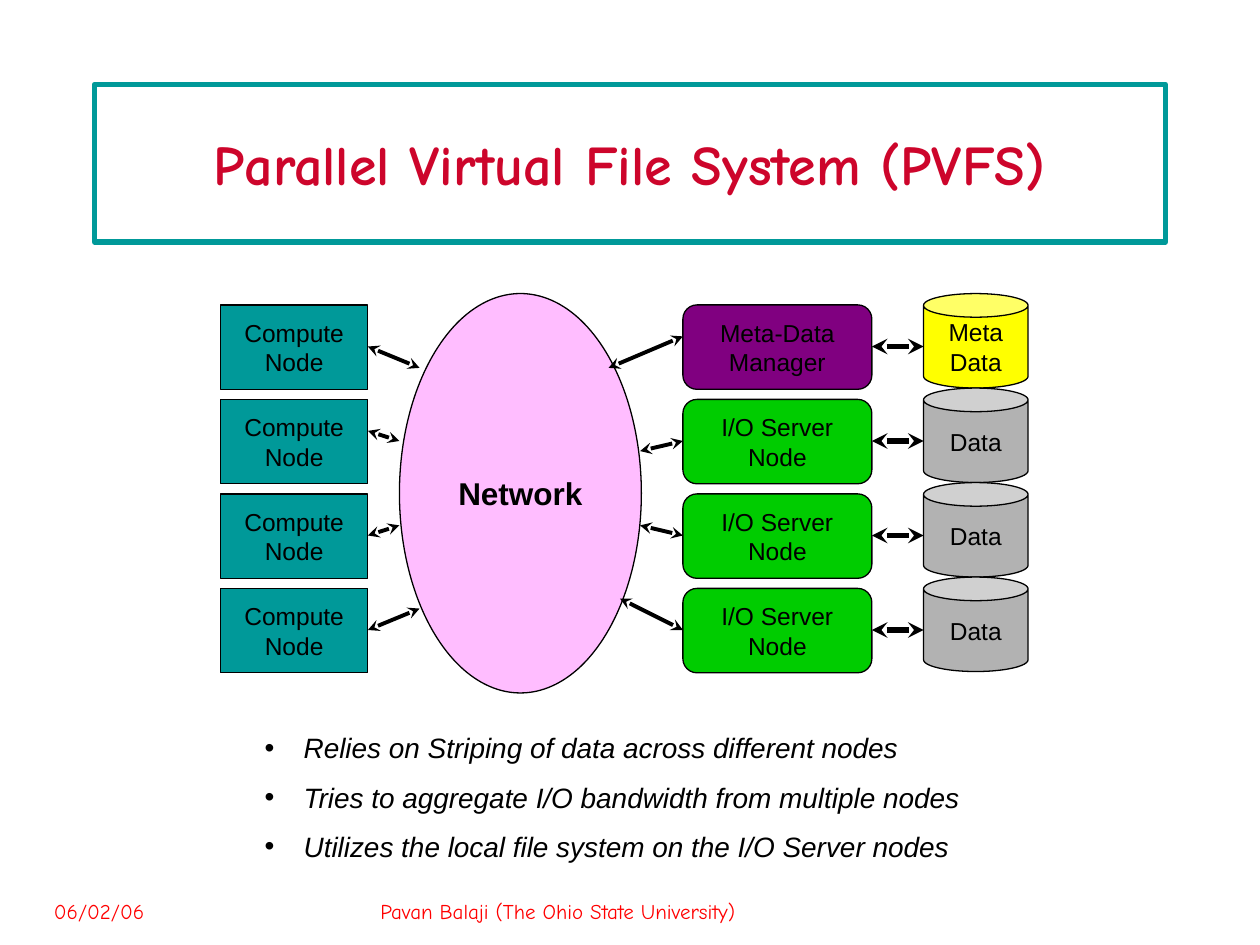
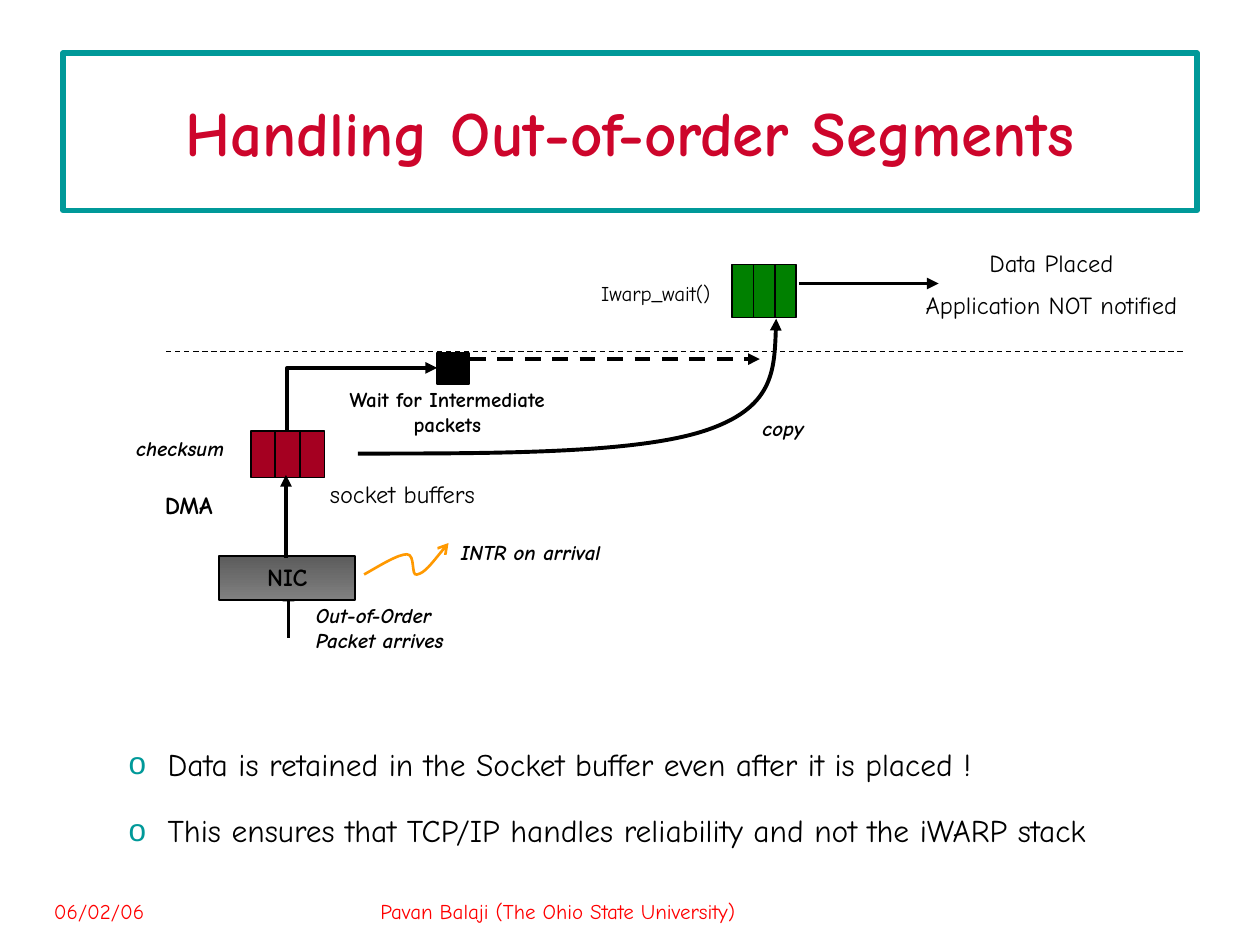
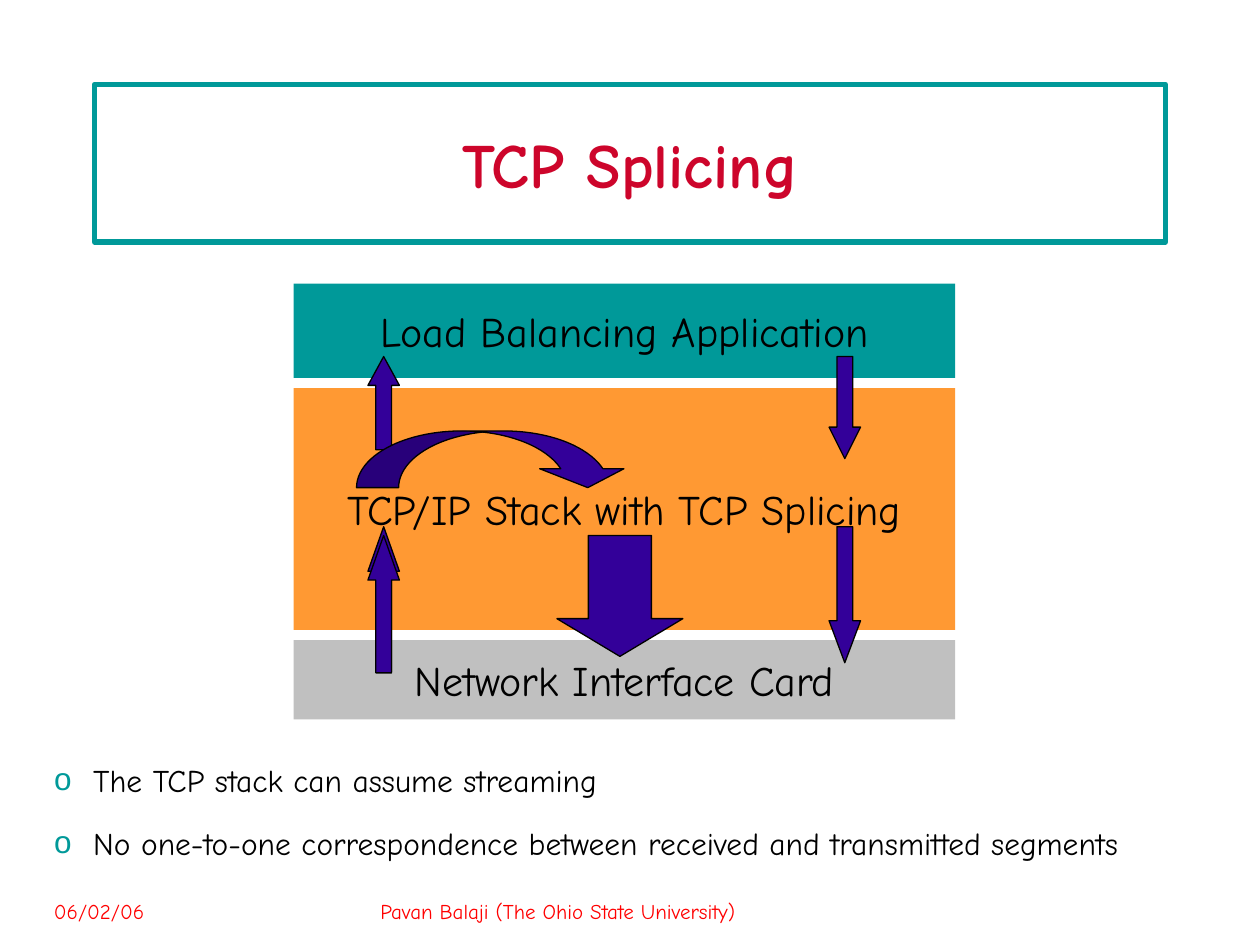
from lxml import etree
from pptx import Presentation
from pptx.dml.color import RGBColor
from pptx.enum.dml import MSO_LINE
from pptx.enum.shapes import MSO_CONNECTOR as CONN, MSO_SHAPE as SHAPE
from pptx.enum.text import MSO_ANCHOR as ANCHOR, MSO_AUTO_SIZE as AUTO, PP_ALIGN as ALIGN
from pptx.oxml.ns import qn
from pptx.util import Inches, Pt

BLACK = RGBColor(0x00, 0x00, 0x00)
WHITE = RGBColor(0xFF, 0xFF, 0xFF)
RED = RGBColor(0xFF, 0x00, 0x00)
CRIMSON = RGBColor(0xCD, 0x05, 0x2B)
TEAL = RGBColor(0x00, 0x99, 0x99)
MAGENTA = RGBColor(0xFF, 0x00, 0xFF)
PURPLE = RGBColor(0x80, 0x00, 0x80)
LIME = RGBColor(0x00, 0xCC, 0x00)
YELLOW = RGBColor(0xFF, 0xFF, 0x00)
DISK_GRAY = RGBColor(0xB2, 0xB2, 0xB2)
DARK_RED = RGBColor(0xA5, 0x00, 0x21)
GREEN = RGBColor(0x00, 0x80, 0x00)
NIC_TOP = RGBColor(0x5C, 0x5C, 0x5C)
NIC_BOTTOM = RGBColor(0x80, 0x80, 0x80)
AMBER = RGBColor(0xFF, 0x99, 0x00)
ORANGE = RGBColor(0xFF, 0x99, 0x33)
SILVER = RGBColor(0xC0, 0xC0, 0xC0)
INDIGO = RGBColor(0x33, 0x00, 0x99)

COMIC = "Comic Neue"
ARIAL = "Arial"
BULLET_INDENT = Inches(0.31)


def box(left, top, width, height):
    return Inches(left), Inches(top), Inches(width), Inches(height)


def place(sp, at):
    sp.left, sp.top, sp.width, sp.height = box(*at)


def set_bullet(p, char, color):
    pPr = p._p.get_or_add_pPr()
    pPr.set("marL", str(BULLET_INDENT))
    pPr.set("indent", str(-BULLET_INDENT))
    clr = etree.SubElement(pPr, qn("a:buClr"))
    etree.SubElement(clr, qn("a:srgbClr"), val=str(color))
    etree.SubElement(pPr, qn("a:buFont"), typeface=ARIAL)
    etree.SubElement(pPr, qn("a:buChar"), char=char)


def write(tf, text, size=12, font=COMIC, color=BLACK, bold=False, italic=False,
          align=ALIGN.LEFT, anchor=ANCHOR.TOP, wrap=True, gap=0, spacing=1.0,
          bullet=None, bullet_color=BLACK):
    """Fill a text frame, one paragraph per line of text, gap points apart."""
    tf.auto_size = AUTO.NONE
    tf.word_wrap = wrap
    tf.vertical_anchor = anchor
    for i, line in enumerate(text.split("\n")):
        p = tf.add_paragraph() if i else tf.paragraphs[0]
        if bullet:
            set_bullet(p, bullet, bullet_color)
        p.alignment = align
        p.line_spacing = spacing
        p.space_before = Pt(gap if i else 0)
        r = p.add_run()
        r.text = line
        r.font.name, r.font.size, r.font.color.rgb = font, Pt(size), color
        r.font.bold, r.font.italic = bold, italic


def add_label(s, at, text, **fmt):
    write(s.shapes.add_textbox(*box(*at)).text_frame, text, **fmt)


def add_box(s, kind, at, fill, line=0.75, adj=(), text="", **fmt):
    """Add a preset shape; line is the outline width, or None for no outline."""
    sp = s.shapes.add_shape(kind, *box(*at))
    sp.shadow.inherit = False
    sp.fill.solid()
    sp.fill.fore_color.rgb = fill
    if line is None:
        sp.line.fill.background()
    else:
        sp.line.color.rgb = BLACK
        sp.line.width = Pt(line)
    for i, value in enumerate(adj):
        sp.adjustments[i] = value
    if text:
        write(sp.text_frame, text, **{"align": ALIGN.CENTER, "anchor": ANCHOR.MIDDLE, **fmt})
    return sp


def style_line(sp, width, color=BLACK, dash=None, head=None, tail=None):
    sp.line.color.rgb = color
    sp.line.width = Pt(width)
    if dash:
        sp.line.dash_style = dash
    ln = sp.line._get_or_add_ln()
    for tag, arrow in (("a:headEnd", head), ("a:tailEnd", tail)):
        if arrow:
            etree.SubElement(ln, qn(tag), type=arrow)


def add_line(s, start, end, width=2.25, kind=CONN.STRAIGHT, **style):
    c = s.shapes.add_connector(kind, *(Inches(v) for v in (*start, *end)))
    style_line(c, width, **style)
    etree.SubElement(c._element.spPr, qn("a:effectLst"))
    return c


def add_curve(s, points, width, **style):
    """Draw Bezier segments: a start point, then three points per segment."""
    start, *rest = [(Inches(x), Inches(y)) for x, y in points]
    fb = s.shapes.build_freeform(*start)
    fb.add_line_segments(rest, close=False)
    sp = fb.convert_to_shape()
    sp.shadow.inherit = False
    sp.fill.background()
    outline = sp._element.find(".//" + qn("a:path"))
    steps = outline.findall(qn("a:lnTo"))
    for i in range(0, len(steps), 3):
        cubic = etree.SubElement(outline, qn("a:cubicBezTo"))
        for step in steps[i:i + 3]:
            cubic.append(step[0])
            outline.remove(step)
    style_line(sp, width, **style)


def add_buffers(s, left, top, width, height, fill):
    for i in range(3):
        add_box(s, SHAPE.RECTANGLE, (left + i * width, top, width, height), fill, line=1)


def add_slide(prs, title, bullets, bullets_at, title_at=(0.75, 0.67, 8.5, 1.25),
              title_size=36, **list_fmt):
    s = prs.slides.add_slide(prs.slide_layouts[1])
    for left, width, text in ((0.33, 2.33, "06/02/06"),
                              (2.92, 4.17, "Pavan Balaji (The Ohio State University)")):
        add_label(s, (left, 7.08, width, 0.33), text, color=RED)
    sp = s.shapes.title
    place(sp, title_at)
    sp.fill.solid()
    sp.fill.fore_color.rgb = WHITE
    sp.line.color.rgb = TEAL
    sp.line.width = Pt(3)
    write(sp.text_frame, title, size=title_size, color=CRIMSON, bold=True,
          align=ALIGN.CENTER, anchor=ANCHOR.MIDDLE)
    body = s.placeholders[1]
    place(body, bullets_at)
    fmt = {"size": 18, "gap": 10, "bullet": "o", "bullet_color": TEAL, **list_fmt}
    write(body.text_frame, bullets, **fmt)
    return s


def build_pvfs(prs):
    s = add_slide(prs, "Parallel Virtual File System (PVFS)",
                  "Relies on Striping of data across different nodes\n"
                  "Tries to aggregate I/O bandwidth from multiple nodes\n"
                  "Utilizes the local file system on the I/O Server nodes",
                  (2, 5.75, 7.25, 1.17), title_size=32, size=16, font=ARIAL,
                  italic=True, gap=9, bullet="•", bullet_color=BLACK)
    network = add_box(s, SHAPE.OVAL, (3.17, 2.33, 1.92, 3.17), MAGENTA, text="Network",
                      size=18, font=ARIAL, bold=True, wrap=False)
    tint = network.fill._xPr.find(".//" + qn("a:srgbClr"))
    etree.SubElement(tint, qn("a:alpha"), val="26000")

    node = {"size": 14, "font": ARIAL, "wrap": False}
    server = ("I/O Server\nNode", LIME, "Data", DISK_GRAY)
    rows = [("Meta-Data\nManager", PURPLE, "Meta\nData", YELLOW)] + [server] * 3
    for i, (name, fill, disk, disk_fill) in enumerate(rows):
        dy = 0.75 * i
        add_box(s, SHAPE.RECTANGLE, (1.75, 2.42 + dy, 1.17, 0.67), TEAL,
                text="Compute\nNode", **node)
        add_box(s, SHAPE.ROUNDED_RECTANGLE, (5.42, 2.42 + dy, 1.5, 0.67), fill,
                adj=[0.167], text=name, **node)
        add_box(s, SHAPE.CAN, (7.33, 2.33 + dy, 0.83, 0.75), disk_fill,
                adj=[0.25], text=disk, **node)
        add_line(s, (6.92, 2.75 + dy), (7.33, 2.75 + dy), 3, head="stealth", tail="stealth")

    network_links = [
        ((2.92, 2.75), (3.33, 2.92)), ((2.92, 3.42), (3.17, 3.5)),
        ((2.92, 4.25), (3.17, 4.17)), ((2.92, 5), (3.33, 4.83)),
        ((4.83, 2.92), (5.42, 2.67)), ((5.08, 3.58), (5.42, 3.5)),
        ((5.08, 4.17), (5.42, 4.25)), ((4.92, 4.75), (5.42, 5)),
    ]
    for start, end in network_links:
        add_line(s, start, end, head="stealth", tail="stealth")


def build_segments(prs):
    s = add_slide(prs, "Handling Out-of-order Segments",
                  "Data is retained in the Socket buffer even after it is placed !\n"
                  "This ensures that TCP/IP handles reliability and not the iWARP stack",
                  (0.92, 5.77, 8.75, 1.03), title_at=(0.5, 0.42, 9, 1.25), spacing=1.3)
    add_line(s, (2.29, 5.06), (2.29, 4.68), tail="triangle")
    add_curve(s, [(2.89, 4.56), (3.03, 4.48), (3.16, 4.4), (3.23, 4.4),
                  (3.3, 4.4), (3.26, 4.58), (3.31, 4.56),
                  (3.37, 4.55), (3.46, 4.43), (3.56, 4.31)], 1.5, color=AMBER, tail="arrow")
    add_line(s, (1.32, 2.79), (9.41, 2.79), 0.75, dash=MSO_LINE.DASH)
    add_box(s, SHAPE.RECTANGLE, (3.47, 2.8, 0.25, 0.25), BLACK, line=1)
    add_buffers(s, 1.99, 3.42, 0.195, 0.37, DARK_RED)
    add_buffers(s, 5.81, 2.1, 0.17, 0.42, GREEN)

    nic = add_box(s, SHAPE.RECTANGLE, (1.74, 4.41, 1.08, 0.35), NIC_TOP, line=1,
                  text="NIC", size=14, bold=True, anchor=ANCHOR.TOP)
    nic.fill.gradient()
    nic.fill.gradient_angle = 270
    for stop, color in zip(nic.fill.gradient_stops, (NIC_TOP, NIC_BOTTOM)):
        stop.color.rgb = color

    elbow = add_line(s, (3.47, 2.92), (2.28, 3.42), kind=CONN.ELBOW, head="triangle")
    elbow._element.spPr.find(qn("a:prstGeom")).set("prst", "bentConnector2")
    add_line(s, (2.27, 4.43), (2.27, 3.77), tail="triangle")
    add_line(s, (3.73, 2.85), (6.03, 2.85), dash=MSO_LINE.DASH, tail="triangle")
    add_curve(s, [(2.84, 3.6), (3.94, 3.6), (5.04, 3.6), (5.59, 3.42),
                  (6.14, 3.24), (6.15, 2.89), (6.16, 2.53)], 2.25, tail="triangle")
    add_line(s, (6.34, 2.25), (7.45, 2.25), tail="triangle")

    step = {"bold": True, "italic": True}
    center = {"align": ALIGN.CENTER}
    add_label(s, (2.41, 4.73, 1.33, 0.7), "Out-of-Order Packet arrives", **step)
    add_label(s, (3.56, 4.23, 1.42, 0.5), "INTR on arrival", **step)
    add_label(s, (0.85, 3.41, 1.16, 0.3), "checksum", **step, **center)
    add_label(s, (5.72, 3.25, 0.99, 0.3), "copy", **step, **center)
    add_label(s, (2.5, 3.02, 2.1, 0.5), "Wait for Intermediate packets", bold=True, **center)
    add_label(s, (4.58, 2.18, 1.25, 0.3), "Iwarp_wait()", **center)
    add_label(s, (2.52, 3.75, 1.74, 0.33), "socket buffers", size=14)
    add_label(s, (1.21, 3.84, 0.83, 0.33), "DMA", size=14, bold=True)
    add_label(s, (7.19, 1.92, 2.31, 0.91), "Data Placed\nApplication NOT notified",
              size=14, gap=7, **center)


def build_splicing(prs):
    s = add_slide(prs, "TCP Splicing",
                  "The TCP stack can assume streaming\n"
                  "No one-to-one correspondence between received and transmitted segments",
                  (0.33, 5.93, 9.25, 0.97), spacing=1.2)
    layers = [
        (2.25, 0.75, TEAL, "Load Balancing Application"),
        (3.08, 1.92, ORANGE, "TCP/IP Stack with TCP Splicing"),
        (5.08, 0.63, SILVER, "Network Interface Card"),
    ]
    for top, height, fill, name in layers:
        add_box(s, SHAPE.RECTANGLE, (2.33, top, 5.25, height), fill, line=None,
                text=name, size=24)
    arrows = [
        (SHAPE.UP_ARROW, (2.92, 4.18, 0.25, 1.15), (0.5, 1.417)),
        (SHAPE.UP_ARROW, (2.92, 2.83, 0.25, 0.74), (0.5, 0.917)),
        (SHAPE.DOWN_ARROW, (6.58, 2.83, 0.25, 0.81), (0.5, 1)),
        (SHAPE.DOWN_ARROW, (6.58, 4.18, 0.25, 1.08), (0.5, 1.333)),
        (SHAPE.CURVED_DOWN_ARROW, (2.83, 3.42, 2.17, 0.45), (0.743, 1.486, 0.333)),
        (SHAPE.DOWN_ARROW, (4.42, 4.25, 1, 0.96), (0.5, 0.312)),
        (SHAPE.UP_ARROW, (2.92, 4.25, 0.25, 1.09), (0.5, 1.417)),
    ]
    for kind, at, adj in arrows:
        add_box(s, kind, at, INDIGO, adj=adj)


def main():
    prs = Presentation()
    prs.slide_width, prs.slide_height = Inches(10), Inches(7.5)
    build_pvfs(prs)
    build_segments(prs)
    build_splicing(prs)
    prs.save("out.pptx")


if __name__ == "__main__":
    main()
